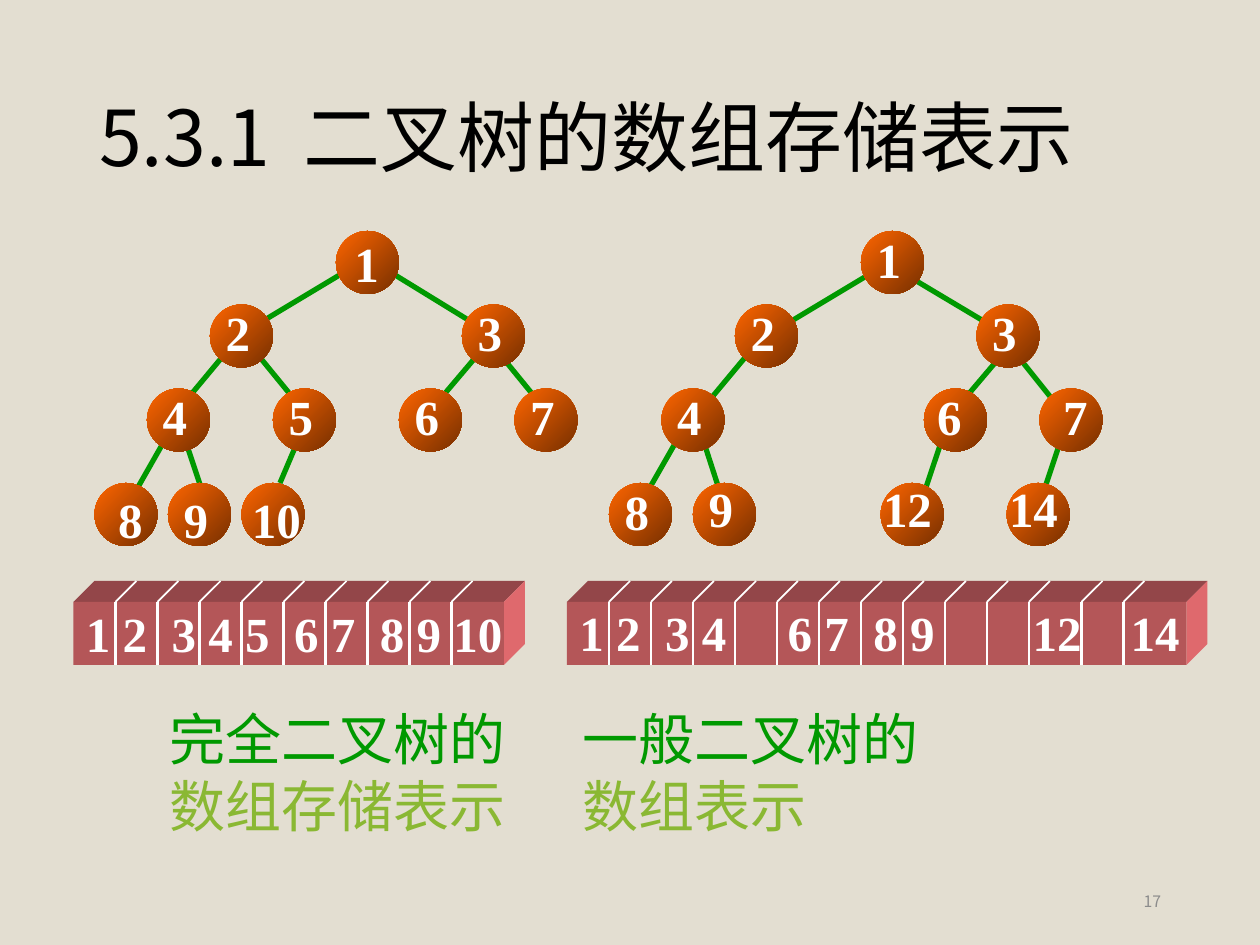
from dataclasses import dataclass

from lxml import etree
from pptx import Presentation, util as u
from pptx.dml.color import RGBColor
from pptx.enum import shapes, text
from pptx.oxml.ns import qn


@dataclass(frozen=True)
class Theme:
    background: str = "E3DED1"
    ink: str = "000000"
    white: str = "FFFFFF"
    green: str = "009900"
    lime: str = "8AB833"
    grey: str = "8C8C8C"
    node_light: str = "FF6600"
    node_dark: str = "762F00"
    bar_front: str = "B45658"
    bar_top: str = "934649"
    bar_side: str = "DF696D"
    sans: str = "Noto Sans CJK SC"
    serif: str = "Times New Roman"
    title_size: float = 44
    caption_size: float = 32
    label_size: float = 28
    number_size: float = 9


def write(tf, content, size, color, font, bold=False, align=text.PP_ALIGN.LEFT,
          spacing=None, tabs=(), new=False):
    """Add one formatted paragraph, with tab stops in points."""
    p = tf.add_paragraph() if new else tf.paragraphs[0]
    p.alignment = align
    if spacing:
        p.line_spacing = spacing
    if tabs:
        stops = etree.SubElement(p._p.get_or_add_pPr(), qn("a:tabLst"))
        for pos in tabs:
            etree.SubElement(stops, qn("a:tab"), pos=str(u.Pt(pos)), algn="l")
    r = p.add_run()
    r.text = content
    f = r.font
    f.size, f.bold, f.name = u.Pt(size), bold, font
    f.color.rgb = RGBColor.from_string(color)
    etree.SubElement(r._r.get_or_add_rPr(), qn("a:ea"), typeface=font)


class Deck:
    def __init__(self, theme):
        self.theme = theme
        self.prs = Presentation()
        self.prs.slide_width, self.prs.slide_height = u.Pt(720), u.Pt(540)

    def add_slide(self):
        self.s = self.prs.slides.add_slide(self.prs.slide_layouts[5])
        fill = self.s.background.fill
        fill.solid()
        fill.fore_color.rgb = RGBColor.from_string(self.theme.background)

    def title(self, content, x, y, w, h, tabs):
        sp = self.s.shapes.title
        sp.left, sp.top, sp.width, sp.height = map(u.Pt, (x, y, w, h))
        sp.text_frame.vertical_anchor = text.MSO_ANCHOR.MIDDLE
        write(sp.text_frame, content, self.theme.title_size, self.theme.ink,
              self.theme.sans, spacing=0.9, tabs=tabs)

    def box(self, x, y, w, h, wrap=True, anchor=text.MSO_ANCHOR.MIDDLE):
        tf = self.s.shapes.add_textbox(*map(u.Pt, (x, y, w, h))).text_frame
        tf.word_wrap, tf.vertical_anchor = wrap, anchor
        return tf

    def line(self, x1, y1, x2, y2, color, width):
        c = self.s.shapes.add_connector(shapes.MSO_CONNECTOR.STRAIGHT,
                                        *map(u.Pt, (x1, y1, x2, y2)))
        c.line.color.rgb = RGBColor.from_string(color)
        c.line.width = u.Pt(width)
        etree.SubElement(c._element.spPr, qn("a:effectLst"))

    def face(self, color, points):
        builder = self.s.shapes.build_freeform(*points[0], scale=u.Pt(1))
        builder.add_line_segments(points[1:], close=True)
        self.paint(builder.convert_to_shape(), color)

    def paint(self, sp, color):
        sp.shadow.inherit = False
        sp.fill.solid()
        sp.fill.fore_color.rgb = RGBColor.from_string(color)
        sp.line.fill.background()

    def node(self, label, x, y, dx, dy):
        t = self.theme
        sp = self.s.shapes.add_shape(shapes.MSO_SHAPE.OVAL,
                                     *map(u.Pt, (x, y, 36, 36)))
        sp.shadow.inherit = False
        sp.line.fill.background()
        sp.fill.gradient()
        sp.fill.gradient_angle = 315
        for stop, color in zip(sp.fill.gradient_stops, (t.node_light, t.node_dark)):
            stop.color.rgb = RGBColor.from_string(color)
        tf = self.box(x + dx, y + dy, 29 if len(label) == 1 else 42.5, 41, wrap=False)
        write(tf, label, t.label_size, t.white, t.serif, bold=True,
              align=text.PP_ALIGN.CENTER)

    def tree(self, nodes, edges):
        for edge in edges:
            self.line(*edge, self.theme.green, 3)
        for level, top in zip(nodes, LEVEL_TOPS):
            for label, x, *offset in level:
                self.node(label, x, top, *(offset or LABEL_OFFSET))

    def array(self, x, w, dividers, values, stops, text_top):
        t = self.theme
        y, h, d = 344, 36, 12
        right = x + w
        self.face(t.bar_top, [(x, y), (x + d, y - d), (right + d, y - d), (right, y)])
        self.face(t.bar_side, [(right, y), (right + d, y - d),
                               (right + d, y + h - d), (right, y + h)])
        self.paint(self.s.shapes.add_shape(shapes.MSO_SHAPE.RECTANGLE,
                                           *map(u.Pt, (x, y, w, h))), t.bar_front)
        for cx in dividers:
            self.line(cx, y, cx, y + h, t.white, 1.5)
            self.line(cx, y, cx + d, y - d, t.white, 1)
        write(self.box(x, text_top, w + 16, 41), "\t".join(values), t.label_size,
              t.white, t.serif, bold=True, tabs=stops)


LEVEL_TOPS = (132, 174, 222, 276)
LABEL_OFFSET = (1.4, -4.7)

# Nodes by level: label, left, then label offset where it differs
COMPLETE_NODES = [
    [("1", 192, 3, -2.4)],
    [("2", 120), ("3", 264)],
    [("4", 84), ("5", 156), ("6", 228), ("7", 294)],
    [("8", 54, 6, 0), ("9", 96, 1.4, 0), ("10", 138, -1.4, 0)],
]
GENERAL_NODES = [
    [("1", 492)],
    [("2", 420), ("3", 558)],
    [("4", 378), ("6", 528, 0, -4.7), ("7", 594, 6, -4.7)],
    [("8", 348), ("9", 396, 1.4, -6), ("12", 503.3, -6, -6), ("14", 575.3, -6, -6)],
]
# Edges from parent to child
COMPLETE_EDGES = [
    (201, 153, 141, 189), (219, 153, 276, 188),
    (129, 201.6, 99, 237.6), (141, 195, 168, 228),
    (277, 198, 249, 231), (285, 201.6, 309, 231),
    (99, 243, 78.5, 279), (105, 249, 116, 282), (174, 243, 160, 276),
]
GENERAL_EDGES = [
    (498, 156, 438, 192), (516, 156, 573, 190),
    (426, 204, 396, 240), (574, 201, 546, 234), (582, 204, 606, 234),
    (390, 246, 366, 288), (402, 252, 412.5, 284.5),
    (540, 246, 528, 282), (606, 252, 594, 288),
]


def main():
    t = Theme()
    deck = Deck(t)
    deck.add_slide()
    deck.title("5.3.1\t二叉树的数组存储表示", 49.5, 28.8, 621, 104.4, tabs=[117])

    # Trees
    deck.tree(COMPLETE_NODES, COMPLETE_EDGES)
    deck.tree(GENERAL_NODES, GENERAL_EDGES)

    # Arrays: the general one skips the empty cells
    shared_stops = [21, 49, 70]
    deck.array(42, 246, range(66, 259, 24), [str(i) for i in range(1, 11)],
               shared_stops + [91, 119, 140, 168, 189, 210], 341)
    deck.array(324, 354, [*range(348, 589, 24), 618, 642],
               ["1", "2", "3", "4", "6", "7", "8", "9", "12", "14"],
               shared_stops + [119, 140, 168, 189, 259, 315], 340.5)

    # Captions in two columns
    tf = deck.box(90, 399, 522, 84, anchor=text.MSO_ANCHOR.TOP)
    captions = [("完全二叉树的\t一般二叉树的", t.green),
                ("数组存储表示\t数组表示", t.lime)]
    for i, (content, color) in enumerate(captions):
        write(tf, content, t.caption_size, color, t.sans, spacing=u.Pt(38.4),
              tabs=[235.5], new=i > 0)

    # Slide number
    write(deck.box(508.5, 500.5, 162, 28.8), "17", t.number_size, t.grey, t.sans,
          align=text.PP_ALIGN.RIGHT)
    deck.prs.save("out.pptx")


if __name__ == "__main__":
    main()
